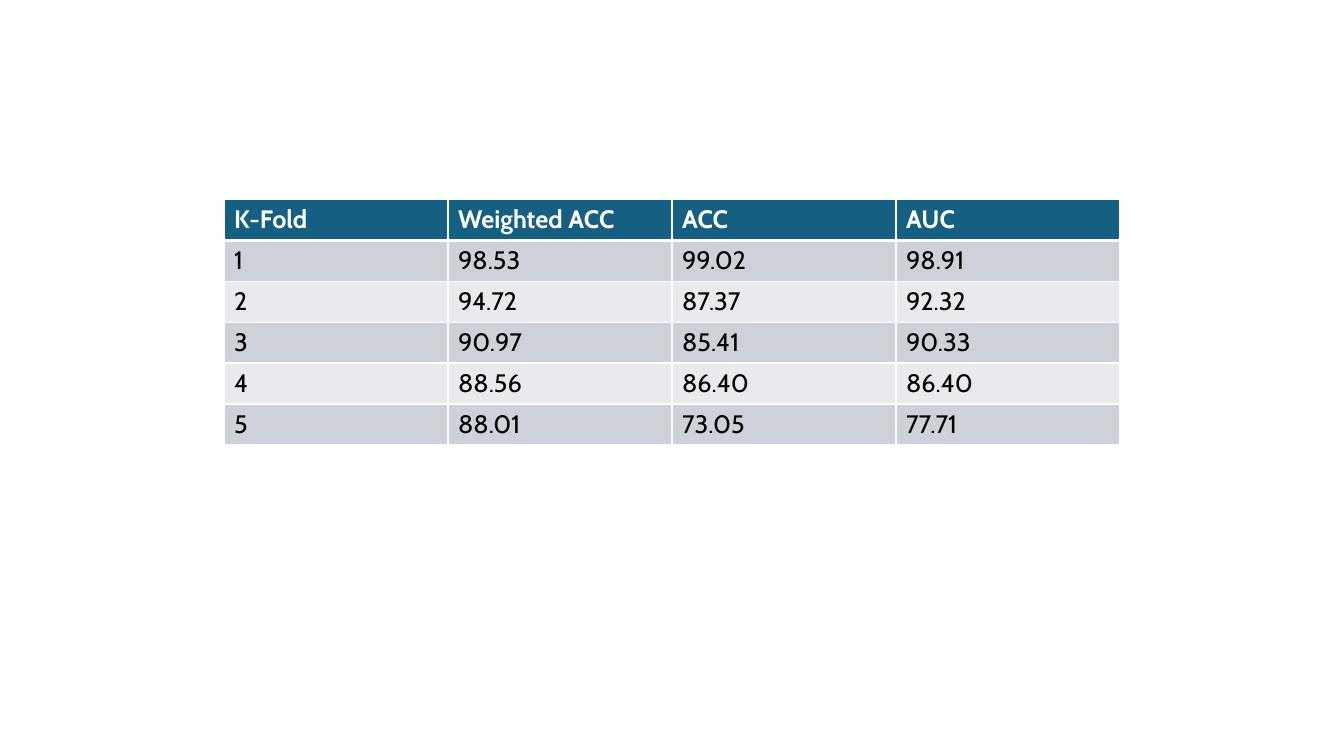
from lxml.etree import SubElement
from pptx import Presentation
from pptx.dml.color import RGBColor
from pptx.oxml.ns import qn
from pptx.util import Inches, Pt

COLORS = {
    "header": "156082",
    "odd": "CCD2D8",
    "even": "E8EAED",
    "white": "FFFFFF",
    "black": "000000",
}
FOLD_SCORES = [
    ("K-Fold", "Weighted ACC", "ACC", "AUC"),
    ("1", "98.53", "99.02", "98.91"),
    ("2", "94.72", "87.37", "92.32"),
    ("3", "90.97", "85.41", "90.33"),
    ("4", "88.56", "86.40", "86.40"),
    ("5", "88.01", "73.05", "77.71"),
]


def set_border(cell, side, points):
    """Draw a white line on one side (L, R, T or B); call before filling the cell."""
    line = SubElement(cell._tc.get_or_add_tcPr(), qn(f"a:ln{side}"), w=str(Pt(points)))
    fill = SubElement(line, qn("a:solidFill"))
    SubElement(fill, qn("a:srgbClr"), val=COLORS["white"])


deck = Presentation()
deck.slide_width, deck.slide_height = Inches(13.33), Inches(7.5)
page = deck.slides.add_slide(deck.slide_layouts[6])

# The table spans two thirds of the slide, centred across it
row_count, column_count = len(FOLD_SCORES), len(FOLD_SCORES[0])
table_width = deck.slide_width * 2 // 3
table_left = (deck.slide_width - table_width) // 2
row_height = Inches(2.43) // row_count
table = page.shapes.add_table(
    row_count, column_count, table_left, Inches(1.98), table_width, row_height * row_count
).table

for row, scores in enumerate(FOLD_SCORES):
    is_header = row == 0
    band = "header" if is_header else "odd" if row % 2 else "even"
    for column, score in enumerate(scores):
        cell = table.cell(row, column)
        for side in "LRTB":
            under_header = (row, side) in ((0, "B"), (1, "T"))
            set_border(cell, side, 3 if under_header else 1)
        cell.fill.solid()
        cell.fill.fore_color.rgb = RGBColor.from_string(COLORS[band])
        cell.text_frame.text = score
        font = cell.text_frame.paragraphs[0].runs[0].font
        font.name, font.size, font.bold = "Cabin", Pt(18), is_header
        font.color.rgb = RGBColor.from_string(COLORS["white" if is_header else "black"])

deck.save("out.pptx")
